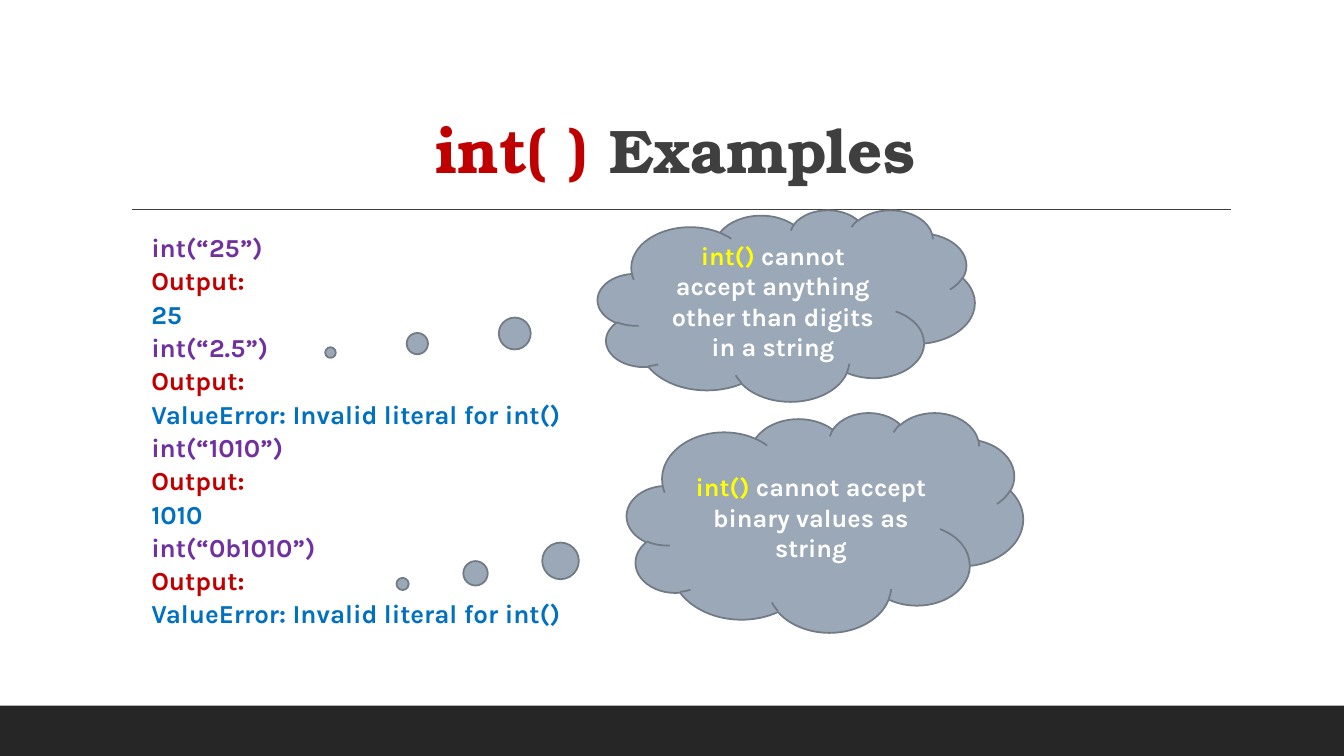
from pptx import Presentation
from pptx.dml.color import RGBColor
from pptx.enum.shapes import MSO_CONNECTOR, MSO_SHAPE
from pptx.enum.text import MSO_ANCHOR, MSO_AUTO_SIZE, PP_ALIGN
from pptx.oxml.ns import qn
from pptx.util import Pt
from lxml import etree

RECT, CLOUD = MSO_SHAPE.RECTANGLE, MSO_SHAPE.CLOUD_CALLOUT
STRAIGHT = MSO_CONNECTOR.STRAIGHT
BOTTOM, MIDDLE, TOP = MSO_ANCHOR.BOTTOM, MSO_ANCHOR.MIDDLE, MSO_ANCHOR.TOP
CENTER, NO_FIT = PP_ALIGN.CENTER, MSO_AUTO_SIZE.NONE
PURPLE, RED, BLUE, DARK = "7030A0", "C00000", "0070C0", "3F3F3F"


def rgb(value):
    return RGBColor.from_string(value)


def add_runs(p, font, size, runs):
    p.font.name, p.font.size, p.font.bold = font, Pt(size), True
    for text, color in runs:
        r = p.add_run()
        r.text = text
        r.font.color.rgb = rgb(color)


prs = Presentation()
prs.slide_width, prs.slide_height = Pt(960), Pt(540)
s = prs.slides.add_slide(prs.slide_layouts[5])

# Footer band
band = s.shapes.add_shape(RECT, Pt(0), Pt(504), Pt(960), Pt(36))
band.shadow.inherit = False
band.fill.solid()
band.fill.fore_color.rgb = rgb("262626")
band.line.fill.background()

# Rule under the title
rule = s.shapes.add_connector(STRAIGHT, Pt(94.3), Pt(149.5), Pt(879), Pt(149.5))
rule.line.color.rgb = rgb(DARK)
rule.line.width = Pt(1)
etree.SubElement(rule._element.spPr, qn("a:effectLst"))

# Title
title = s.shapes.title
title.left, title.top, title.width, title.height = Pt(86.4), Pt(22.3), Pt(792), Pt(114.5)
tf = title.text_frame
tf.auto_size, tf.vertical_anchor = NO_FIT, BOTTOM
p = tf.paragraphs[0]
p.alignment, p.line_spacing = CENTER, 0.9
add_runs(p, "TeX Gyre Bonum", 44, [("int( ) ", RED), ("Examples", DARK)])

# Calls with their outputs
error = "ValueError: Invalid literal for int()"
examples = [("int(“25”)", "25"), ("int(“2.5”)", error),
            ("int(“1010”)", "1010"), ("int(“0b1010”)", error)]
lines = []
for call, result in examples:
    lines += [(call, PURPLE), ("Output:", RED), (result, BLUE)]

body = s.shapes.add_textbox(Pt(86.4), Pt(166.3), Pt(792), Pt(296))
tf = body.text_frame
tf.word_wrap, tf.auto_size, tf.vertical_anchor = True, NO_FIT, TOP
tf.margin_left = tf.margin_right = Pt(0)
for i, line in enumerate(lines):
    p = tf.add_paragraph() if i else tf.paragraphs[0]
    p.line_spacing, p.space_before = 0.8, Pt(6 if i else 0)
    pPr = p._p.get_or_add_pPr()
    pPr.set("marL", str(Pt(62)))
    pPr.set("indent", str(Pt(-40.3)))
    add_runs(p, "Karla", 18.5, [line])

# Thought clouds pointing at the failing calls
clouds = [
    (427, 149.8, 269.3, 136.8, -1.209, 0.246,
     "cannot accept anything other than digits in a string"),
    (447.8, 294.5, 283, 157, -1.066, 0.281,
     "cannot accept binary values as string"),
]
for x, y, w, h, tail_x, tail_y, text in clouds:
    sp = s.shapes.add_shape(CLOUD, Pt(x), Pt(y), Pt(w), Pt(h))
    sp.adjustments[0], sp.adjustments[1] = tail_x, tail_y
    sp.shadow.inherit = False
    sp.fill.solid()
    sp.fill.fore_color.rgb = rgb("9BA8B7")
    sp.line.color.rgb = rgb("717A85")
    sp.line.width = Pt(1.25)
    tf = sp.text_frame
    tf.word_wrap, tf.vertical_anchor = True, MIDDLE
    p = tf.paragraphs[0]
    p.alignment = CENTER
    add_runs(p, "Karla", 18, [("int() ", "FFFF00"), (text, "FFFFFF")])

prs.save("out.pptx")
